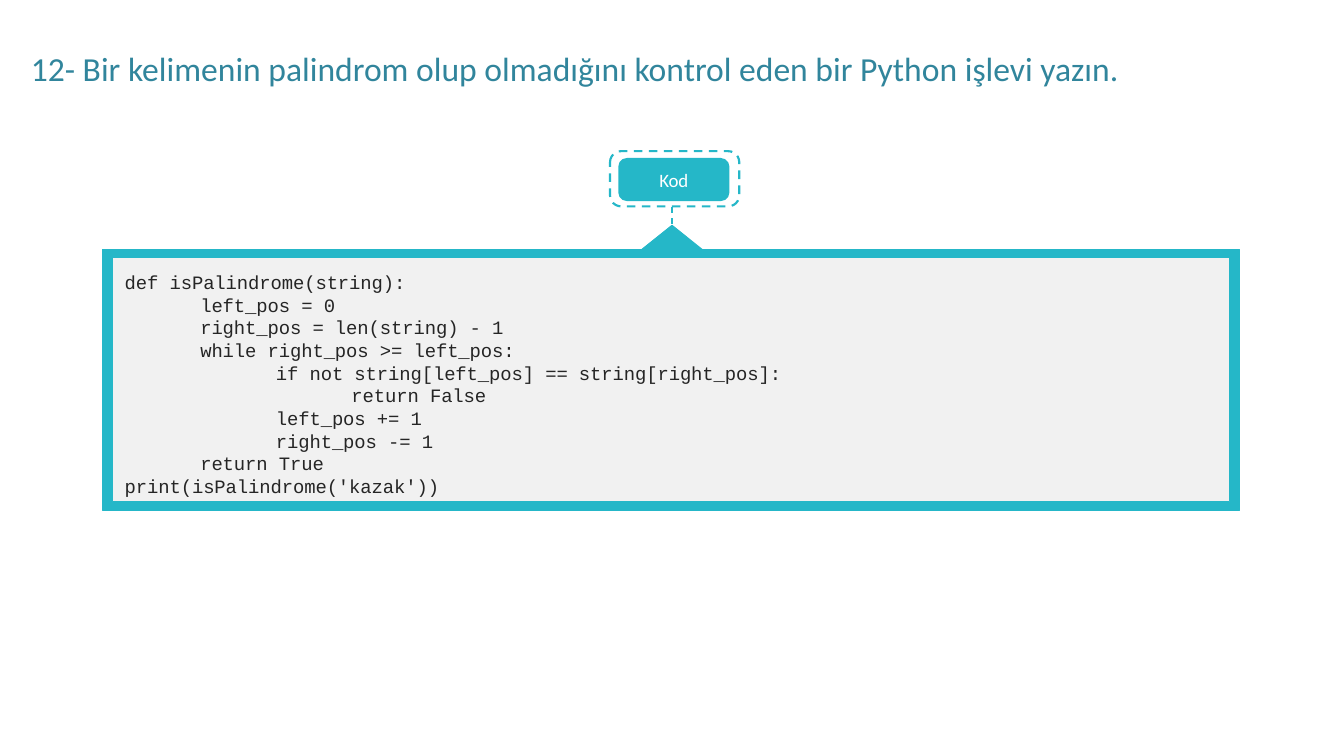
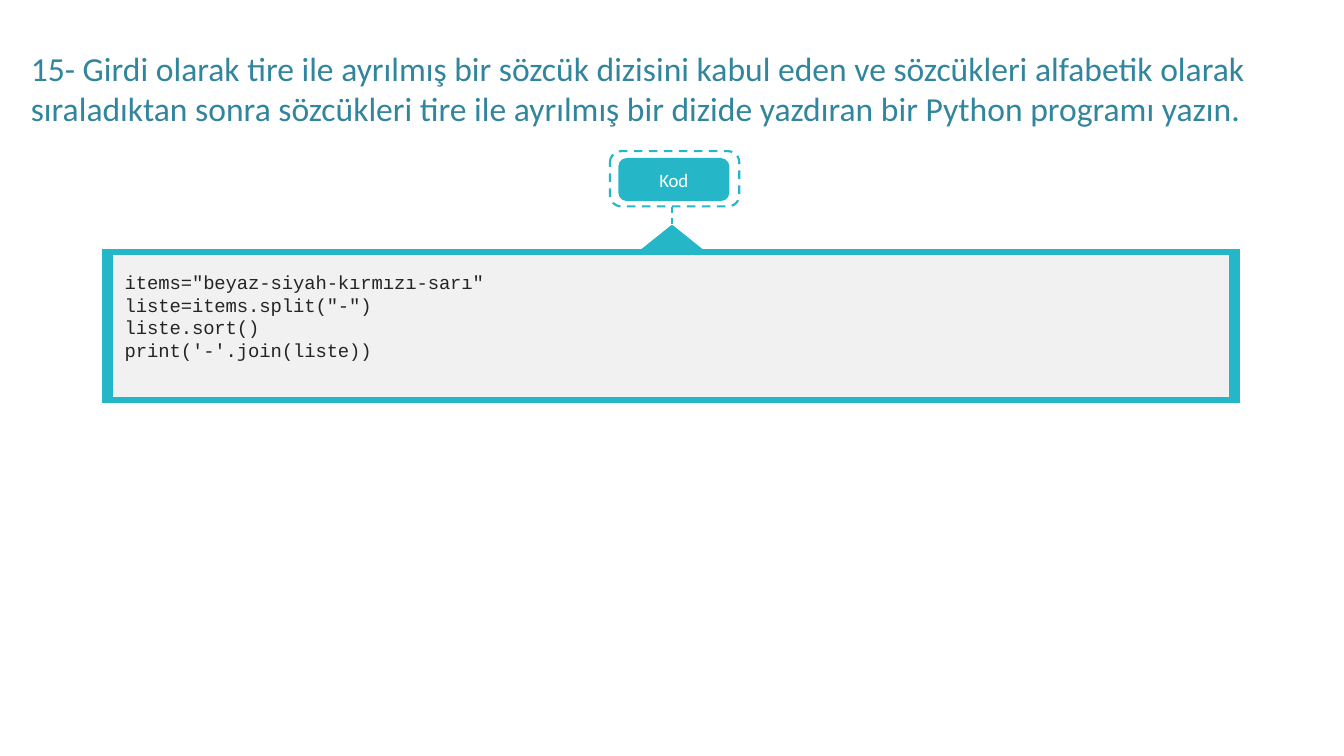
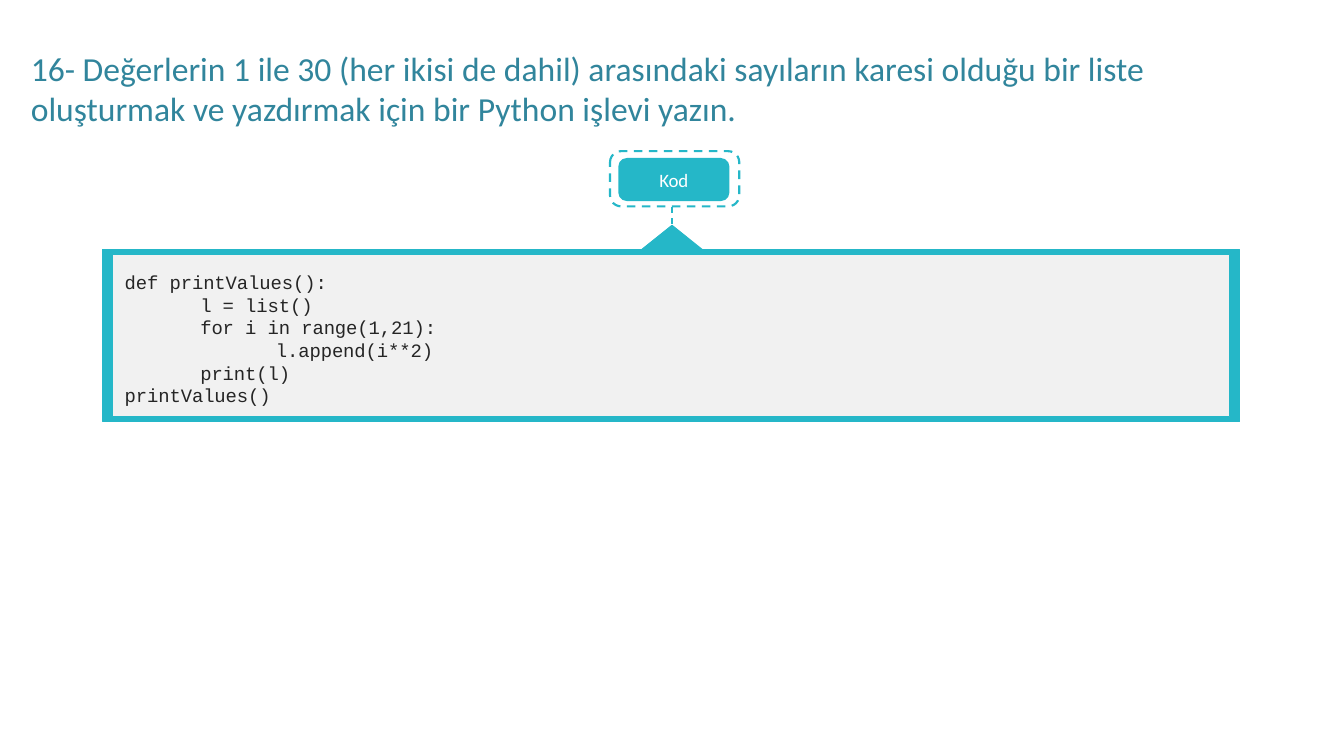
from lxml.etree import SubElement
from pptx import Presentation
from pptx.dml.color import RGBColor
from pptx.enum.dml import MSO_LINE
from pptx.enum.shapes import MSO_CONNECTOR, MSO_SHAPE as SHAPE
from pptx.enum.text import MSO_ANCHOR, MSO_AUTO_SIZE, PP_ALIGN
from pptx.oxml.ns import qn
from pptx.util import Emu, Pt

PX = 9144
COLORS = {
    "teal": "25B7C8",
    "panel": "F1F1F1",
    "code": "252525",
    "title": "31859C",
    "label": "FFFFFF",
}

PALINDROME = """\
def isPalindrome(string):
    left_pos = 0
    right_pos = len(string) - 1
    while right_pos >= left_pos:
        if not string[left_pos] == string[right_pos]:
            return False
        left_pos += 1
        right_pos -= 1
    return True
print(isPalindrome('kazak'))"""

SORTED_WORDS = """\
items="beyaz-siyah-kırmızı-sarı"
liste=items.split("-")
liste.sort()
print('-'.join(liste))"""

SQUARES = """\
def printValues():
    l = list()
    for i in range(1,21):
        l.append(i**2)
    print(l)
printValues()"""

EXERCISES = [
    ("12- Bir kelimenin palindrom olup olmadığını kontrol eden bir Python işlevi yazın.",
     1, PALINDROME, 345, 11),
    ("15- Girdi olarak tire ile ayrılmış bir sözcük dizisini kabul eden ve sözcükleri "
     "alfabetik olarak sıraladıktan sonra sözcükleri tire ile ayrılmış bir dizide "
     "yazdıran bir Python programı yazın.",
     2, SORTED_WORDS, 203, 7),
    ("16- Değerlerin 1 ile 30 (her ikisi de dahil) arasındaki sayıların karesi olduğu "
     "bir liste oluşturmak ve yazdırmak için bir Python işlevi yazın.",
     2, SQUARES, 228, 7),
]


def px(*lengths):
    return [Emu(length * PX) for length in lengths]


def rgb(color):
    return RGBColor.from_string(COLORS[color])


class Deck:
    def __init__(self, width, height):
        self.prs = Presentation()
        self.prs.slide_width, self.prs.slide_height = px(width, height)
        self.slide = None

    def new_slide(self):
        self.slide = self.prs.slides.add_slide(self.prs.slide_layouts[6])

    def outline(self, line, width, dash=None):
        line.color.rgb = rgb("teal")
        line.width = Pt(width)
        if dash:
            line.dash_style = dash

    def shape(self, kind, box, fill=None, line=0.96, dash=None):
        shape = self.slide.shapes.add_shape(kind, *px(*box))
        shape.shadow.inherit = False
        if fill:
            shape.fill.solid()
            shape.fill.fore_color.rgb = rgb(fill)
        else:
            shape.fill.background()
        if line:
            self.outline(shape.line, line, dash)
        else:
            shape.line.fill.background()
        if kind == SHAPE.ROUNDED_RECTANGLE:
            shape.adjustments[0] = 0.2
        return shape

    def dashed_link(self, x, top, arrowhead):
        link = self.slide.shapes.add_connector(
            MSO_CONNECTOR.STRAIGHT, *px(x, top, x, top))
        link.end_connect(arrowhead, 0)
        self.outline(link.line, 1.5, MSO_LINE.SQUARE_DOT)
        link.line.dash_style = MSO_LINE.DASH
        SubElement(link._element.spPr, qn("a:effectLst"))

    def run(self, paragraph, text, font, size, color, spacing=None):
        run = paragraph.add_run()
        run.text = text
        run.font.name = font
        run.font.size = Pt(size)
        run.font.color.rgb = rgb(color)
        if spacing:
            run._r.get_or_add_rPr().set("spc", str(spacing))

    def text_frame(self, box):
        frame = self.slide.shapes.add_textbox(*px(*box)).text_frame
        frame.word_wrap = True
        frame.auto_size = MSO_AUTO_SIZE.SHAPE_TO_FIT_TEXT
        return frame

    def title(self, text, lines):
        frame = self.text_frame((31, 58, 1700, 10 + 54 * lines))
        self.run(frame.paragraphs[0], text, "Calibri", 32, "title")

    def code_tag(self, label):
        self.shape(SHAPE.ROUNDED_RECTANGLE, (807, 200, 171, 73),
                   line=2.04, dash=MSO_LINE.SQUARE_DOT).line.dash_style = MSO_LINE.DASH
        button = self.shape(SHAPE.ROUNDED_RECTANGLE, (818, 209, 147, 57), "teal", line=None)
        frame = button.text_frame
        frame.vertical_anchor = MSO_ANCHOR.MIDDLE
        frame.paragraphs[0].alignment = PP_ALIGN.CENTER
        self.run(frame.paragraphs[0], label, "Calibri", 18, "label", -10)
        arrowhead = self.shape(SHAPE.ISOSCELES_TRIANGLE, (849, 298, 80, 32), "teal")
        self.dashed_link(889, 274, arrowhead)

    def code_panel(self, height, rim):
        self.shape(SHAPE.RECTANGLE, (136, 330, 1504, height), "teal")
        self.shape(SHAPE.RECTANGLE, (149, 330 + rim, 1478, height - 2 * rim), "panel")

    def code(self, source):
        lines = source.replace("    ", "\t").split("\n")
        frame = self.text_frame((72, 341, 1583, 17 + round(30.3 * len(lines))))
        frame.margin_left, frame.margin_top = px(93, 17)
        frame.margin_right = frame.margin_bottom = 0
        for index, line in enumerate(lines):
            paragraph = frame.add_paragraph() if index else frame.paragraphs[0]
            stops = SubElement(paragraph._p.get_or_add_pPr(), qn("a:tabLst"))
            for level in (1, 2, 3):
                SubElement(stops, qn("a:tab"), pos=str(level * 100 * PX), algn="l")
            self.run(paragraph, line, "Courier New", 18, "code", -10)


def main():
    deck = Deck(1778, 1000)
    for question, title_lines, source, panel_height, rim in EXERCISES:
        deck.new_slide()
        deck.code_tag("Kod")
        deck.code_panel(panel_height, rim)
        deck.code(source)
        deck.title(question, title_lines)
    deck.prs.save("out.pptx")


if __name__ == "__main__":
    main()
